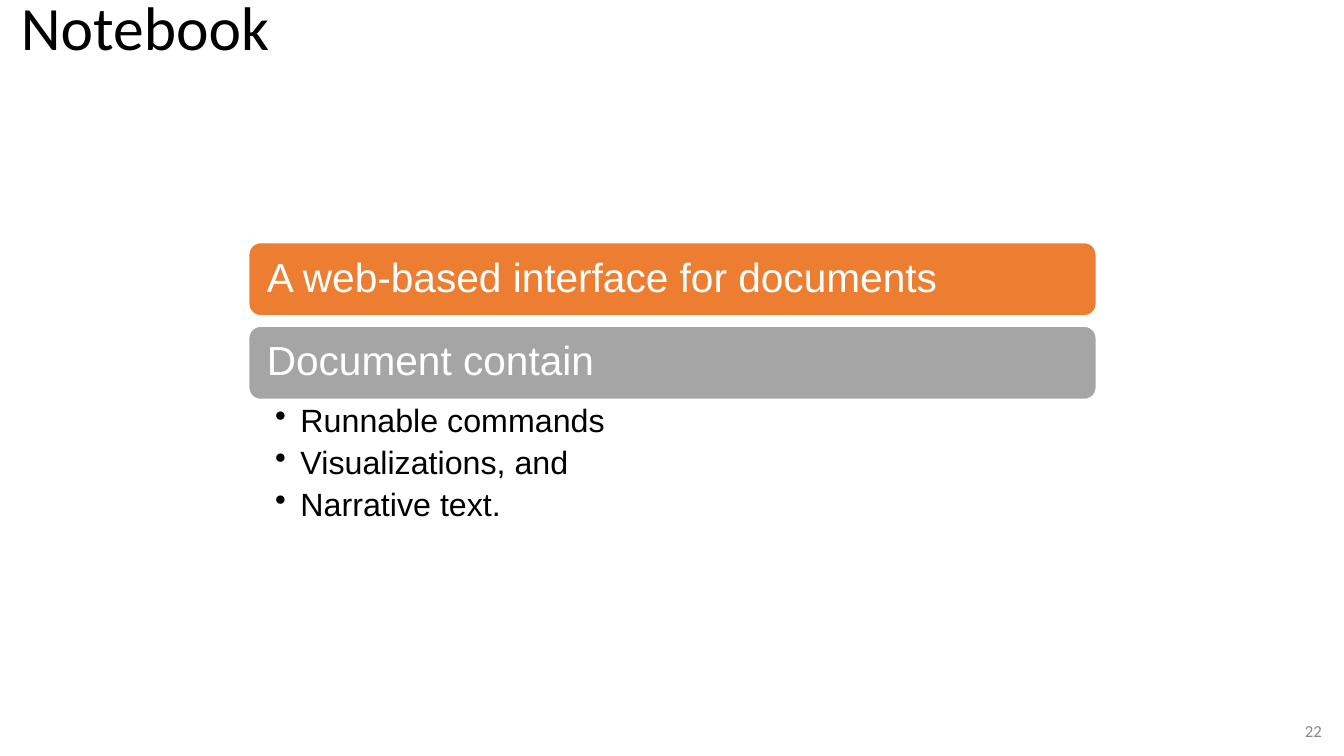
from dataclasses import dataclass

from lxml.etree import SubElement
from pptx import Presentation
from pptx.dml.color import RGBColor as RGB
from pptx.enum.shapes import MSO_SHAPE as Shape
from pptx.enum.text import MSO_ANCHOR as Anchor, PP_ALIGN as Align
from pptx.oxml.ns import qn
from pptx.util import Inches, Pt


@dataclass(frozen=True)
class Theme:
    black: RGB = RGB.from_string("000000")
    white: RGB = RGB.from_string("FFFFFF")
    orange: RGB = RGB.from_string("ED7D31")
    gray: RGB = RGB.from_string("A5A5A5")
    number_gray: RGB = RGB.from_string("888888")
    heading_font: str = "Calibri"
    body_font: str = "Arial"
    title_size: Pt = Pt(44)
    bar_size: Pt = Pt(29)
    bullet_size: Pt = Pt(23)
    number_size: Pt = Pt(12)


theme = Theme()


def set_frame(shape, anchor, left=0.1, top=0.05, right=0.1, bottom=0.05):
    frame = shape.text_frame
    frame.word_wrap = True
    frame.vertical_anchor = anchor
    frame.margin_left, frame.margin_right = Inches(left), Inches(right)
    frame.margin_top, frame.margin_bottom = Inches(top), Inches(bottom)
    return frame


def write(paragraph, text, font, size, color, align=Align.LEFT, spacing=0.9):
    paragraph.text = text
    paragraph.alignment = align
    paragraph.line_spacing = spacing
    paragraph.font.name = font
    paragraph.font.size = size
    paragraph.font.color.rgb = color


prs = Presentation()
prs.slide_width, prs.slide_height = Inches(13.33), Inches(7.5)
slide = prs.slides.add_slide(prs.slide_layouts[6])

# Title
title = slide.shapes.add_textbox(Inches(0.11), Inches(0.03), Inches(13.11), Inches(0.55))
write(set_frame(title, Anchor.MIDDLE).paragraphs[0], "Notebook",
      theme.heading_font, theme.title_size, theme.black)

# Heading bars
list_left, list_width = Inches(2.46), Inches(8.42)
bar_top, bar_pitch, bar_height = 2.4, 0.83, 0.74
bars = [("A web-based interface for documents", theme.orange),
        ("Document contain", theme.gray)]
for row, (heading, color) in enumerate(bars):
    bar = slide.shapes.add_shape(Shape.ROUNDED_RECTANGLE, list_left,
                                 Inches(bar_top + row * bar_pitch),
                                 list_width, Inches(bar_height))
    bar.shadow.inherit = False
    bar.fill.solid()
    bar.fill.fore_color.rgb = color
    bar.line.color.rgb = theme.white
    bar.line.width = Pt(2)
    frame = set_frame(bar, Anchor.MIDDLE, 0.15, 0.12, 0.15, 0.12)
    write(frame.paragraphs[0], heading, theme.body_font, theme.bar_size, theme.white)

# Bulleted contents of a document
contents = slide.shapes.add_textbox(list_left, Inches(3.97), list_width, Inches(1.25))
frame = set_frame(contents, Anchor.TOP, 0.27, 0.04, 0.23, 0.04)
for index, item in enumerate(["Runnable commands", "Visualizations, and", "Narrative text."]):
    paragraph = frame.add_paragraph() if index else frame.paragraphs[0]
    write(paragraph, item, theme.body_font, theme.bullet_size, theme.black)
    paragraph.level = 1
    paragraph.space_after = Pt(5.3)
    props = paragraph._p.get_or_add_pPr()
    props.set("marL", str(Inches(0.25)))
    props.set("indent", str(-Inches(0.25)))
    bullet = SubElement(props, qn("a:buChar"), char="•")
    props.find(qn("a:defRPr")).addprevious(bullet)

# Slide number
number = slide.shapes.add_textbox(Inches(12.51), Inches(7.05), Inches(0.7), Inches(0.4))
write(set_frame(number, Anchor.MIDDLE).paragraphs[0], "22", theme.heading_font,
      theme.number_size, theme.number_gray, Align.RIGHT, 1.0)

prs.save("out.pptx")
